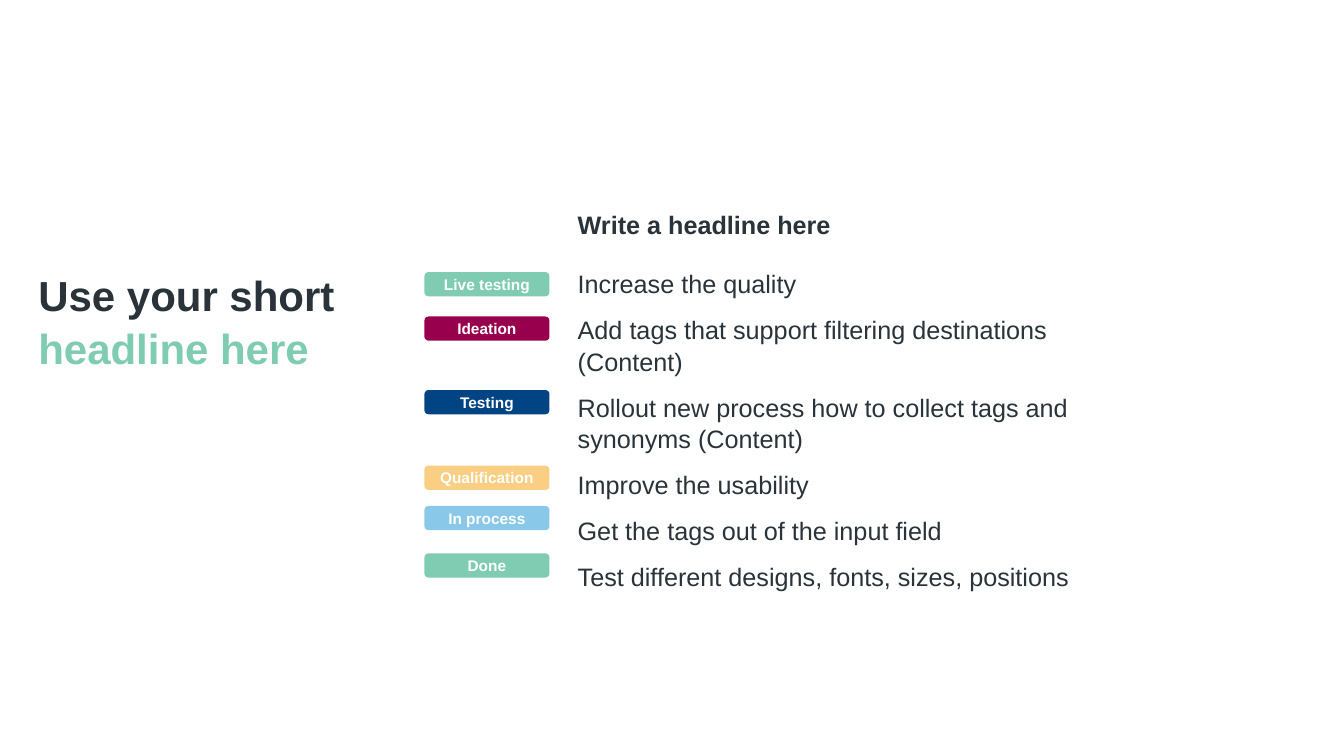
import dataclasses

import pptx
import pptx.dml.color
import pptx.enum.shapes
import pptx.enum.text
import pptx.util

PX = 9144  # EMU in one px, 100 px to the inch
ALIGN = pptx.enum.text.PP_ALIGN
ANCHOR = pptx.enum.text.MSO_ANCHOR


@dataclasses.dataclass(frozen=True)
class Theme:
    font: str = "Arial"
    ink: str = "293339"
    white: str = "FFFFFF"
    mint: str = "7FCCB2"
    plum: str = "98004E"
    navy: str = "004484"
    sand: str = "FACE83"
    sky: str = "89C8E8"
    title: int = 30
    body: int = 18
    tag: int = 11
    lead: float = 1.05
    gap: int = 10


@dataclasses.dataclass(frozen=True)
class Box:
    left: int
    top: int
    width: int
    height: int


@dataclasses.dataclass(frozen=True)
class Task:
    tag: str
    top: int
    fill: str
    text: str


THEME = Theme()
TITLE = Box(38, 265, 378, 428)
HEAD = Box(573, 152, 507, 86)
LIST = Box(573, 265, 507, 428)
TAG = Box(421, 0, 124, 24)

TASKS = [
    Task("Live testing", 270, THEME.mint, "Increase the quality"),
    Task("Ideation", 314, THEME.plum,
         "Add tags that support filtering destinations (Content)"),
    Task("Testing", 387, THEME.navy,
         "Rollout new process how to collect tags and synonyms (Content)"),
    Task("Qualification", 462, THEME.sand, "Improve the usability"),
    Task("In process", 502, THEME.sky, "Get the tags out of the input field"),
    Task("Done", 549, THEME.mint,
         "Test different designs, fonts, sizes, positions"),
]


def rgb(code: str) -> pptx.dml.color.RGBColor:
    return pptx.dml.color.RGBColor.from_string(code)


def place(box: Box) -> list[int]:
    return [side * PX for side in dataclasses.astuple(box)]


def style(font, size: int, color: str, bold: bool = False) -> None:
    font.name = THEME.font
    font.size = pptx.util.Pt(size)
    font.bold = bold
    font.color.rgb = rgb(color)


def setup(frame, anchor) -> None:
    frame.word_wrap = True
    frame.auto_size = pptx.enum.text.MSO_AUTO_SIZE.NONE
    frame.vertical_anchor = anchor
    frame.margin_left = frame.margin_right = 0
    frame.margin_top = frame.margin_bottom = 0


def add_title(slide) -> None:
    shape = slide.shapes.title
    shape.left, shape.top, shape.width, shape.height = place(TITLE)
    frame = shape.text_frame
    setup(frame, ANCHOR.TOP)
    line = frame.paragraphs[0]
    line.alignment = ALIGN.LEFT
    line.line_spacing = THEME.lead
    parts = [("Use your short ", THEME.ink), ("headline here", THEME.mint)]
    for text, color in parts:
        run = line.add_run()
        run.text = text
        style(run.font, THEME.title, color, True)


def add_text(slide, box: Box, lines: list[str], anchor, bold: bool) -> None:
    frame = slide.shapes.add_textbox(*place(box)).text_frame
    setup(frame, anchor)
    frame.text = "\n".join(lines)
    for rank, line in enumerate(frame.paragraphs):
        line.line_spacing = THEME.lead
        if rank:
            line.space_before = pptx.util.Pt(THEME.gap)
        style(line.runs[0].font, THEME.body, THEME.ink, bold)


def add_tag(slide, task: Task) -> None:
    box = dataclasses.replace(TAG, top=task.top)
    kind = pptx.enum.shapes.MSO_SHAPE.ROUNDED_RECTANGLE
    shape = slide.shapes.add_shape(kind, *place(box))
    shape.shadow.inherit = False
    shape.fill.solid()
    shape.fill.fore_color.rgb = rgb(task.fill)
    shape.line.fill.background()
    frame = shape.text_frame
    setup(frame, ANCHOR.MIDDLE)
    frame.text = task.tag
    line = frame.paragraphs[0]
    line.alignment = ALIGN.CENTER
    style(line.runs[0].font, THEME.tag, THEME.white, True)


def main() -> None:
    deck = pptx.Presentation()
    deck.slide_width, deck.slide_height = 1333 * PX, 750 * PX
    slide = deck.slides.add_slide(deck.slide_layouts.get_by_name("Title Only"))

    # Headlines
    add_title(slide)
    add_text(slide, HEAD, ["Write a headline here"], ANCHOR.BOTTOM, True)

    # Tasks and their status tags
    add_text(slide, LIST, [task.text for task in TASKS], ANCHOR.TOP, False)
    for task in TASKS:
        add_tag(slide, task)

    deck.save("out.pptx")


if __name__ == "__main__":
    main()
